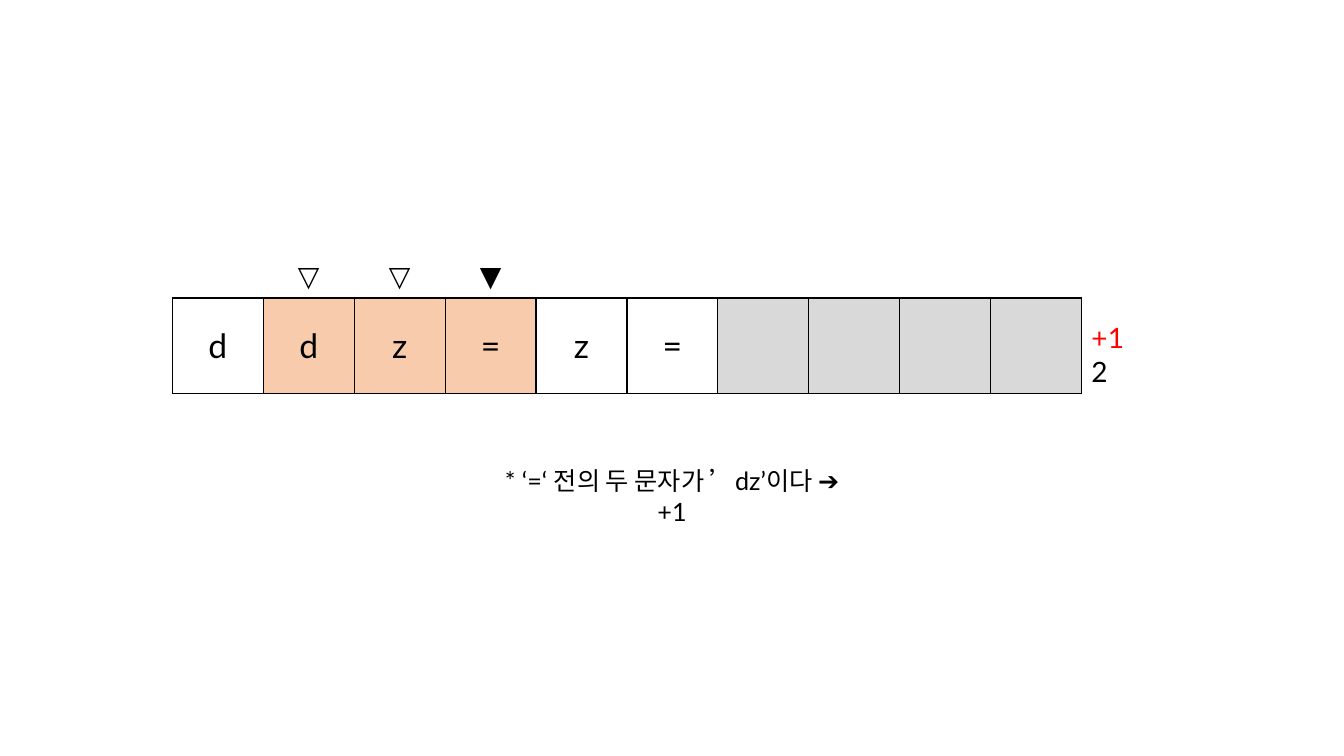
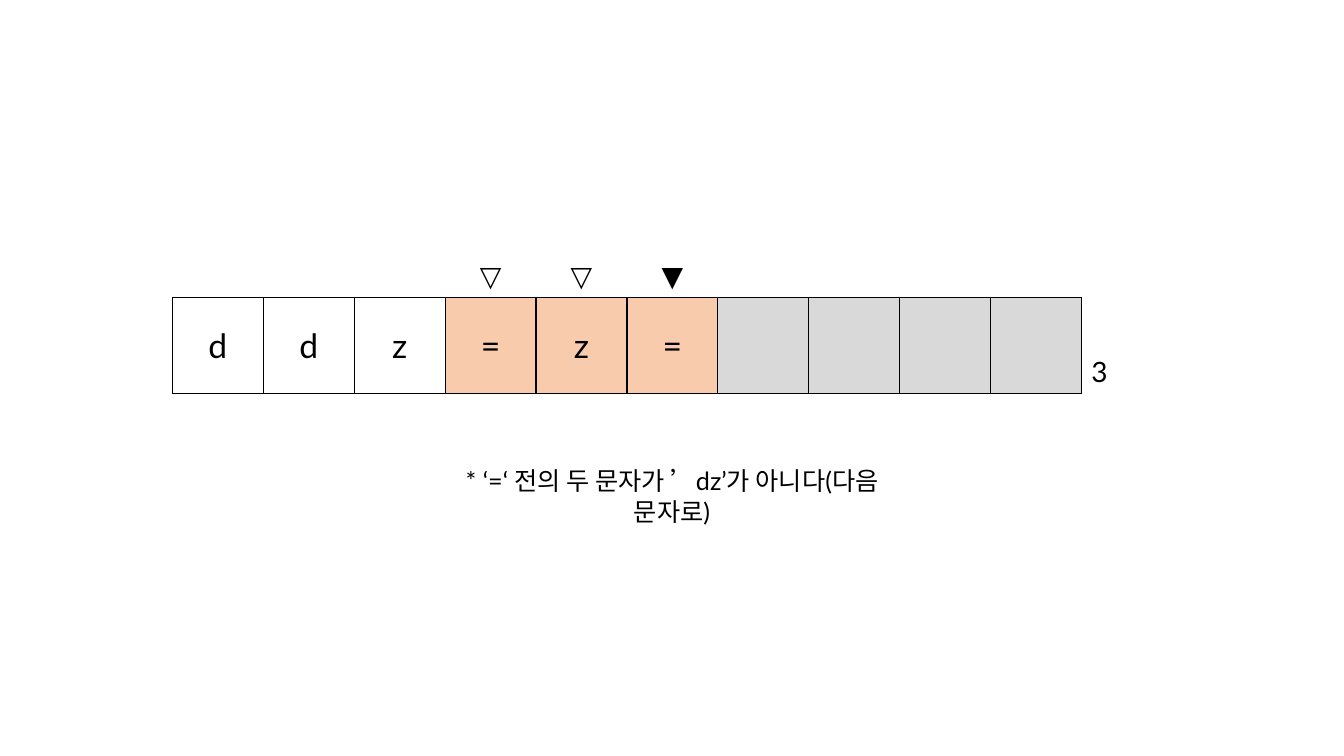
from lxml import etree
from pptx import Presentation
from pptx.dml.color import RGBColor
from pptx.enum.text import MSO_ANCHOR, PP_ALIGN
from pptx.oxml.ns import qn
from pptx.util import Inches, Pt

MID, LOW = MSO_ANCHOR.MIDDLE, MSO_ANCHOR.BOTTOM
CENTER, LEFT = PP_ALIGN.CENTER, PP_ALIGN.LEFT

FONT = "Lato"
COLORS = {"ink": "000000", "plain": "FFFFFF", "active": "F8CBAD",
          "empty": "D9D9D9", "gain": "FF0000"}
PLAIN_STYLE = "{2D5ABB26-0587-4C30-8999-92F81FD0307C}"

WORD = "ddz=z="
SLOTS = 10
MARKS = "▽▽▼"
STEPS = [
    {"start": 1, "count": [("+1", "gain"), ("2", "ink")],
     "note": "* ‘=‘ 전의 두 문자가 ’dz’이다 ➔ +1", "width": 3.58},
    {"start": 3, "count": [("3", "ink")],
     "note": "* ‘=‘ 전의 두 문자가 ’dz’가 아니다(다음 문자로)", "width": 4.78},
]

WIDE, HIGH = 13.33, 7.5
GRID_X, GRID_Y, GRID_W = 1.71, 2.52, 9.92
ROWS = (0.41, 0.95)
NOTE_Y, NOTE_H = 4.57, 0.4


def color(name):
    return RGBColor.from_string(COLORS[name])


def write(frame, lines, size, align):
    frame.text = "\n".join(text for text, tone in lines)
    for para, (text, tone) in zip(frame.paragraphs, lines):
        para.alignment = align
        for run in para.runs:
            run.font.name = FONT
            run.font.size = Pt(size)
            run.font.color.rgb = color(tone)


def border(cell, sides):
    props = cell._tc.get_or_add_tcPr()
    for side in sides:
        line = etree.SubElement(props, qn("a:ln" + side), w=str(Pt(1)))
        fill = etree.SubElement(line, qn("a:solidFill"))
        etree.SubElement(fill, qn("a:srgbClr"), val=COLORS["ink"])


def add_grid(slide, start, count):
    frame = slide.shapes.add_table(
        len(ROWS), SLOTS + 1, Inches(GRID_X), Inches(GRID_Y),
        Inches(GRID_W), Inches(sum(ROWS)))
    table = frame.table
    table.first_row = table.horz_banding = False
    table._tbl.tblPr.find(qn("a:tableStyleId")).text = PLAIN_STYLE
    for row, height in zip(table.rows, ROWS):
        row.height = Inches(height)
    for col in table.columns:
        col.width = Inches(GRID_W / (SLOTS + 1))

    active = range(start, start + len(MARKS))
    for i in range(SLOTS):
        mark, slot = table.cell(0, i), table.cell(1, i)
        border(mark, "B")
        border(slot, "LRTB")
        mark.vertical_anchor = LOW
        slot.vertical_anchor = MID
        if i in active:
            write(mark.text_frame, [(MARKS[i - start], "ink")], 20, CENTER)
        if i < len(WORD):
            write(slot.text_frame, [(WORD[i], "ink")], 24, CENTER)
        tone = "active" if i in active else "plain" if i < len(WORD) else "empty"
        mark.fill.background()
        slot.fill.solid()
        slot.fill.fore_color.rgb = color(tone)

    total = table.cell(1, SLOTS)
    border(total, "L")
    total.vertical_anchor = LOW
    write(total.text_frame, count, 20, LEFT)
    for cell in (table.cell(0, SLOTS), total):
        cell.fill.background()


def add_note(slide, text, width):
    box = slide.shapes.add_textbox(
        Inches((WIDE - width) / 2), Inches(NOTE_Y), Inches(width), Inches(NOTE_H))
    box.text_frame.word_wrap = True
    write(box.text_frame, [(text, "ink")], 18, CENTER)


def main():
    deck = Presentation()
    deck.slide_width, deck.slide_height = Inches(WIDE), Inches(HIGH)
    for step in STEPS:
        slide = deck.slides.add_slide(deck.slide_layouts[6])
        add_grid(slide, step["start"], step["count"])
        add_note(slide, step["note"], step["width"])
    deck.save("out.pptx")


if __name__ == "__main__":
    main()
